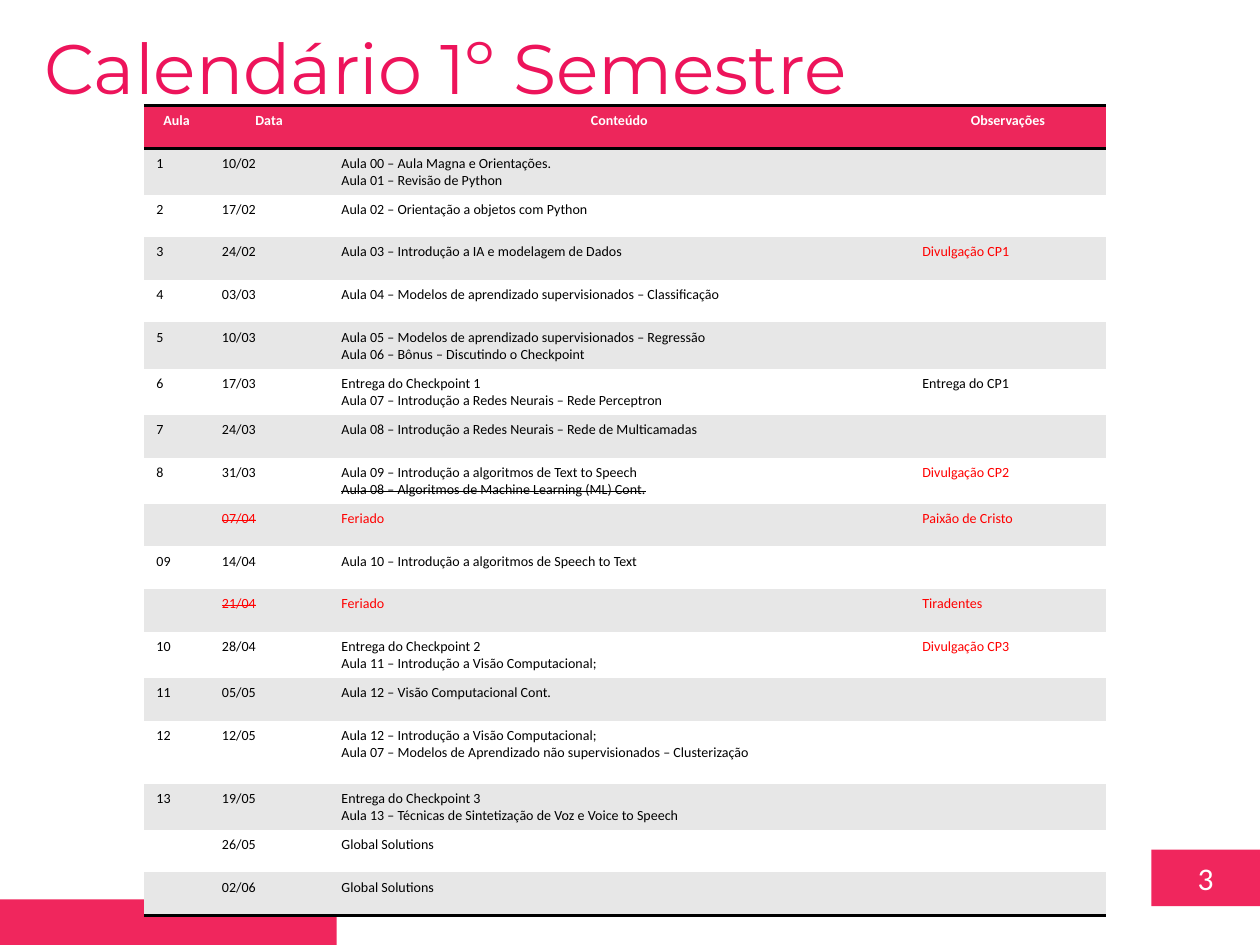
from dataclasses import dataclass

from lxml import etree
from pptx import Presentation
from pptx.dml.color import RGBColor
from pptx.enum.shapes import MSO_SHAPE
from pptx.enum.text import MSO_ANCHOR, PP_ALIGN
from pptx.oxml.ns import qn
from pptx.util import Cm, Pt

RECTANGLE = MSO_SHAPE.RECTANGLE
MIDDLE = MSO_ANCHOR.MIDDLE
LEFT, CENTER = PP_ALIGN.LEFT, PP_ALIGN.CENTER
NO_TABLE_STYLE = "{2D5ABB26-0587-4C30-8999-92F81FD0307C}"

HEADINGS = ("Aula", "Data", "Conteúdo", "Observações")
LESSONS = (
    ("1", "10/02", "Aula 00 – Aula Magna e Orientações.\nAula 01 – Revisão de Python", ""),
    ("2", "17/02", "Aula 02 – Orientação a objetos com Python", ""),
    ("3", "24/02", "Aula 03 – Introdução a IA e modelagem de Dados", "Divulgação CP1"),
    ("4", "03/03", "Aula 04 – Modelos de aprendizado supervisionados – Classificação", ""),
    ("5", "10/03", "Aula 05 – Modelos de aprendizado supervisionados – Regressão\n"
                   "Aula 06 – Bônus – Discutindo o Checkpoint", ""),
    ("6", "17/03", "Entrega do Checkpoint 1\n"
                   "Aula 07 – Introdução a Redes Neurais – Rede Perceptron", "Entrega do CP1"),
    ("7", "24/03", "Aula 08 – Introdução a Redes Neurais – Rede de Multicamadas", ""),
    ("8", "31/03", "Aula 09 – Introdução a algoritmos de Text to Speech\n"
                   "Aula 08 – Algoritmos de Machine Learning (ML) Cont.", "Divulgação CP2"),
    ("", "07/04", "Feriado", "Paixão de Cristo"),
    ("09", "14/04", "Aula 10 – Introdução a algoritmos de Speech to Text", ""),
    ("", "21/04", "Feriado", "Tiradentes"),
    ("10", "28/04", "Entrega do Checkpoint 2\n"
                    "Aula 11 – Introdução a Visão Computacional;", "Divulgação CP3"),
    ("11", "05/05", "Aula 12 – Visão Computacional Cont.", ""),
    ("12", "12/05", "Aula 12 – Introdução a Visão Computacional;\n"
                    "Aula 07 – Modelos de Aprendizado não supervisionados – Clusterização", ""),
    ("13", "19/05", "Entrega do Checkpoint 3\n"
                    "Aula 13 – Técnicas de Sintetização de Voz e Voice to Speech", ""),
    ("", "26/05", "Global Solutions", ""),
    ("", "02/06", "Global Solutions", ""),
)
STRUCK = {"07/04", "21/04", "Aula 08 – Algoritmos de Machine Learning (ML) Cont."}
ALERTS = {"07/04", "21/04", "Feriado", "Paixão de Cristo", "Tiradentes",
          "Divulgação CP1", "Divulgação CP2", "Divulgação CP3"}
COLUMN_WIDTHS = (1.32, 2.41, 11.71, 3.96)
ROW_HEIGHT = 0.86
TALL_ROW, TALL_HEIGHT = 14, 1.27


@dataclass(frozen=True)
class Theme:
    accent: str = "F0265D"
    title: str = "ED145B"
    header: str = "ED265B"
    band: str = "E7E7E7"
    white: str = "FFFFFF"
    black: str = "000000"
    alert: str = "FF0000"
    body_font: str = "Calibri"
    title_font: str = "Montserrat"
    title_size: int = 40
    number_size: int = 18
    table_size: int = 8
    rule_width: int = 2


class CalendarSlide:
    """Draws the parts of a course calendar on one slide in a shared theme."""

    def __init__(self, slide, theme):
        self.slide = slide
        self.theme = theme

    def style(self, paragraph, face, size, color, bold=False, align=LEFT):
        paragraph.alignment = align
        font = paragraph.font
        font.name, font.size, font.bold = face, Pt(size), bold
        font.color.rgb = RGBColor.from_string(color)

    def block(self, left, top, width, height):
        block = self.slide.shapes.add_shape(
            RECTANGLE, Cm(left), Cm(top), Cm(width), Cm(height))
        block.shadow.inherit = False
        block.fill.solid()
        block.fill.fore_color.rgb = RGBColor.from_string(self.theme.accent)
        block.line.fill.background()
        return block

    def page_number(self, number, *box):
        frame = self.block(*box).text_frame
        frame.text = number
        frame.vertical_anchor = MIDDLE
        self.style(frame.paragraphs[0], self.theme.body_font, self.theme.number_size,
                   self.theme.white, align=CENTER)

    def title(self, wording, left, top, width, height):
        frame = self.slide.shapes.add_textbox(
            Cm(left), Cm(top), Cm(width), Cm(height)).text_frame
        frame.word_wrap = True
        frame.text = wording
        self.style(frame.paragraphs[0], self.theme.title_font, self.theme.title_size,
                   self.theme.title)

    def rule(self, cell, edge):
        line = etree.SubElement(cell._tc.get_or_add_tcPr(), qn(f"a:{edge}"),
                                w=str(Pt(self.theme.rule_width)))
        fill = etree.SubElement(line, qn("a:solidFill"))
        etree.SubElement(fill, qn("a:srgbClr"), val=self.theme.black)

    def cell(self, cell, wording, fill, edges, heading):
        theme = self.theme
        for edge in edges:
            self.rule(cell, edge)
        cell.fill.solid()
        cell.fill.fore_color.rgb = RGBColor.from_string(fill)
        cell.text = wording
        for paragraph in cell.text_frame.paragraphs:
            color = theme.alert if paragraph.text in ALERTS else theme.black
            self.style(paragraph, theme.body_font, theme.table_size,
                       theme.white if heading else color, heading,
                       CENTER if heading else LEFT)
            if paragraph.text in STRUCK:
                for run in paragraph.runs:
                    run._r.get_or_add_rPr().set("strike", "sngStrike")
            if not paragraph.text:
                etree.SubElement(paragraph._p, qn("a:endParaRPr"),
                                 sz=str(theme.table_size * 100))

    def calendar(self, left, top):
        rows = (HEADINGS, *LESSONS)
        table = self.slide.shapes.add_table(
            len(rows), len(HEADINGS), Cm(left), Cm(top),
            Cm(sum(COLUMN_WIDTHS)), Cm(ROW_HEIGHT * len(rows))).table
        table._tbl.tblPr.find(qn("a:tableStyleId")).text = NO_TABLE_STYLE
        for column, width in zip(table.columns, COLUMN_WIDTHS):
            column.width = Cm(width)
        for index, wordings in enumerate(rows):
            heading, last = index == 0, index == len(rows) - 1
            table.rows[index].height = Cm(TALL_HEIGHT if index == TALL_ROW else ROW_HEIGHT)
            band = self.theme.band if index % 2 else self.theme.white
            fill = self.theme.header if heading else band
            edges = ("lnT", "lnB") if heading else ("lnB",) if last else ()
            for cell, wording in zip(table.rows[index].cells, wordings):
                self.cell(cell, wording, fill, edges, heading)


def main():
    deck = Presentation()
    deck.slide_width, deck.slide_height = Cm(25.4), Cm(19.05)
    page = CalendarSlide(deck.slides.add_slide(deck.slide_layouts[6]), Theme())
    page.page_number("3", 23.21, 17.13, 2.19, 1.14)
    page.block(0, 18.13, 6.79, 0.92)
    page.title("Calendário 1º Semestre", 0.64, 0.38, 17.58, 1.96)
    page.calendar(2.9, 2.13)
    deck.save("out.pptx")


if __name__ == "__main__":
    main()
